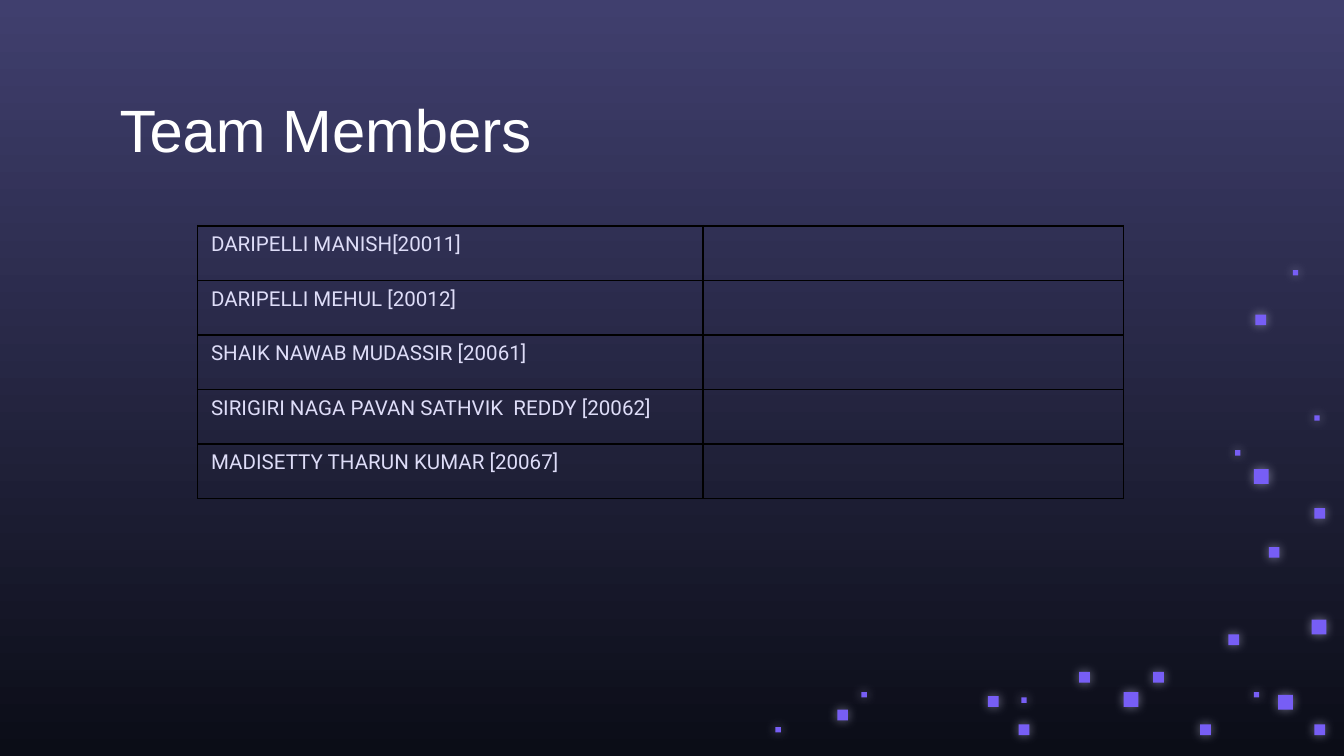
from lxml import etree
from pptx import Presentation
from pptx.dml.color import RGBColor
from pptx.enum import shapes, text
from pptx.oxml import parse_xml
from pptx.oxml.ns import nsdecls, qn
from pptx.util import Inches, Pt

TITLE = "Team Members"
MEMBERS = [
    "DARIPELLI MANISH[20011]",
    "DARIPELLI MEHUL [20012]",
    "SHAIK NAWAB MUDASSIR [20061]",
    "SIRIGIRI NAGA PAVAN SATHVIK  REDDY [20062]",
    "MADISETTY THARUN KUMAR [20067]",
]
COLUMNS = [3.76, 3.13]
TABLE_LEFT, TABLE_TOP, TABLE_HEIGHT = 1.47, 1.68, 2.03
BACKGROUND = ["403F6E", "0B0D17"]
SQUARES = {
    0.11: [(8.36, 5.15), (9.51, 5.17), (9.33, 3.49), (9.76, 4.61)],
    0.08: [(8.58, 5), (8.93, 5.39), (9.14, 4.72), (9.44, 4.07), (9.78, 5.39),
           (7.58, 5.39), (9.78, 3.78), (7.35, 5.18), (8.03, 5), (6.23, 5.28),
           (9.34, 2.34)],
    0.04: [(9.78, 3.09), (6.41, 5.15), (7.6, 5.19), (9.33, 5.15), (9.19, 3.35),
           (9.62, 2.01), (5.77, 5.41)],
}


def rgb(value):
    return RGBColor.from_string(value)


def style(p, name, size, color):
    p.font.name = name
    p.font.size = Pt(size)
    p.font.color.rgb = rgb(color)


def add_square(s, left, top, side):
    sp = s.shapes.add_shape(shapes.MSO_SHAPE.RECTANGLE, Inches(left), Inches(top),
                            Inches(side), Inches(side))
    sp.fill.solid()
    sp.fill.fore_color.rgb = rgb("775EF5")
    sp.line.fill.background()
    sp.shadow.inherit = False
    sp._element.spPr.find(qn("a:effectLst")).append(parse_xml(
        f'<a:outerShdw {nsdecls("a")} blurRad="{Pt(5.6)}" dist="0" dir="0" '
        'algn="ctr" rotWithShape="0"><a:srgbClr val="DFDEFF">'
        '<a:alpha val="50000"/></a:srgbClr></a:outerShdw>'))


def add_borders(cell):
    tcPr = cell._tc.get_or_add_tcPr()
    for side in "LRTB":
        ln = etree.SubElement(tcPr, qn(f"a:ln{side}"), w=str(Pt(1)))
        fill = etree.SubElement(ln, qn("a:solidFill"))
        etree.SubElement(fill, qn("a:srgbClr"), val="000000")


def add_members(s):
    table = s.shapes.add_table(
        len(MEMBERS), len(COLUMNS), Inches(TABLE_LEFT), Inches(TABLE_TOP),
        Inches(sum(COLUMNS)), Inches(TABLE_HEIGHT)).table
    table.first_row = table.horz_banding = False
    for column, width in zip(table.columns, COLUMNS):
        column.width = Inches(width)
    for i, member in enumerate(MEMBERS):
        table.cell(i, 0).text = member
    for cell in table.iter_cells():
        add_borders(cell)
        cell.fill.background()
        style(cell.text_frame.paragraphs[0], "Roboto", 11, "DEDDF8")


def add_title(s):
    title = s.shapes.title
    title.left, title.top = Inches(0.79), Inches(0.59)
    title.width, title.height = Inches(8.43), Inches(0.63)
    tf = title.text_frame
    tf.text = TITLE
    tf.auto_size = text.MSO_AUTO_SIZE.NONE
    tf.vertical_anchor = text.MSO_ANCHOR.TOP
    tf.margin_left = tf.margin_right = Inches(0.1)
    tf.margin_top = tf.margin_bottom = Inches(0.1)
    p = tf.paragraphs[0]
    p.alignment = text.PP_ALIGN.LEFT
    style(p, "Arial", 32, "FFFFFF")


def main():
    prs = Presentation()
    prs.slide_width = Inches(10)
    prs.slide_height = prs.slide_width * 9 // 16
    s = prs.slides.add_slide(prs.slide_layouts[5])
    fill = s.background.fill
    fill.gradient()
    fill.gradient_angle = 270
    for stop, color in zip(fill.gradient_stops, BACKGROUND):
        stop.color.rgb = rgb(color)
    for side, places in SQUARES.items():
        for left, top in places:
            add_square(s, left, top, side)
    add_title(s)
    add_members(s)
    prs.save("out.pptx")


if __name__ == "__main__":
    main()
